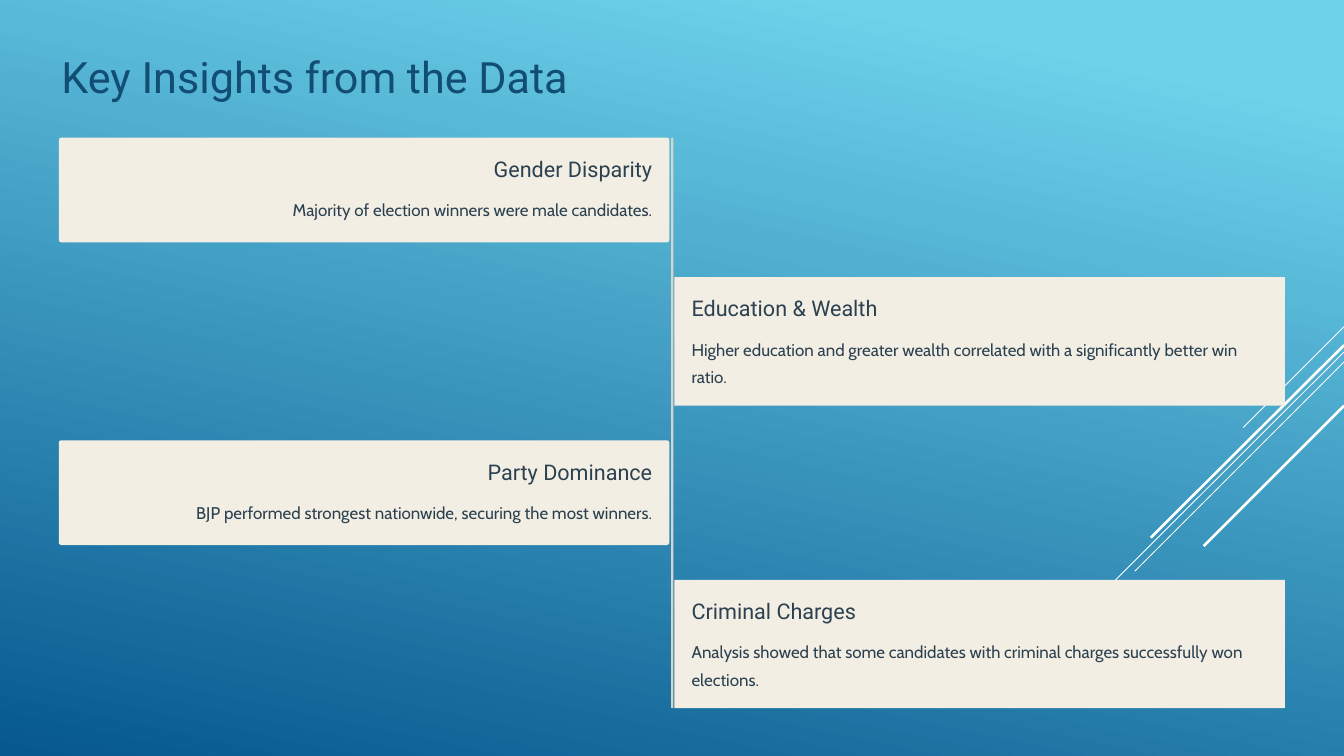
from lxml.etree import SubElement
from pptx import Presentation
from pptx.dml.color import RGBColor
from pptx.enum.shapes import MSO_CONNECTOR as Connector, MSO_SHAPE as Shape
from pptx.enum.text import PP_ALIGN as Align
from pptx.oxml.ns import qn
from pptx.util import Pt

SKY = RGBColor(0x6E, 0xD2, 0xEB)
DEEP_BLUE = RGBColor(0x06, 0x58, 0x8E)
TITLE_BLUE = RGBColor(0x12, 0x4E, 0x73)
INK = RGBColor(0x2B, 0x41, 0x50)
CREAM = RGBColor(0xF3, 0xEE, 0xE3)
STONE = RGBColor(0xD9, 0xD4, 0xC9)
WHITE = RGBColor(0xFF, 0xFF, 0xFF)

deck = Presentation()
deck.slide_width, deck.slide_height = Pt(1152), Pt(648)
page = deck.slides.add_slide(deck.slide_layouts[6])


def add_text(text, left, top, width, height, *, size, font, color, spacing, align=Align.LEFT):
    box = page.shapes.add_textbox(Pt(left), Pt(top), Pt(width), Pt(height))
    frame = box.text_frame
    frame.word_wrap = True
    frame.margin_left = frame.margin_right = frame.margin_top = frame.margin_bottom = 0
    para = frame.paragraphs[0]
    para.alignment = align
    para.line_spacing = Pt(spacing)
    span = para.add_run()
    span.text = text
    span.font.size = Pt(size)
    span.font.name = font
    span.font.color.rgb = color


def add_panel(kind, left, top, width, height, color, rounding):
    panel = page.shapes.add_shape(kind, Pt(left), Pt(top), Pt(width), Pt(height))
    panel.shadow.inherit = False
    panel.fill.solid()
    panel.fill.fore_color.rgb = color
    panel.line.fill.background()
    if kind == Shape.ROUNDED_RECTANGLE:
        panel.adjustments[0] = rounding


# Background
backdrop = page.background.fill
backdrop.gradient()
backdrop.gradient_angle = 258
for stop, position, color in zip(backdrop.gradient_stops, (0.1, 1), (SKY, DEEP_BLUE)):
    stop.position = position
    stop.color.rgb = color

# Diagonal strokes running in from the right edge: start y, end x, end y, weight
STROKES = [
    (280.1, 1065.6, 366.5, 0.75),
    (301.7, 869.8, 583.2, 0.75),
    (310.3, 972.7, 489.6, 0.75),
    (295.9, 986.4, 460.8, 2.25),
    (347.8, 1031.8, 468, 2.25),
]
for start_y, end_x, end_y, weight in STROKES:
    stroke = page.shapes.add_connector(
        Connector.STRAIGHT, Pt(1152), Pt(start_y), Pt(end_x), Pt(end_y))
    stroke.line.color.rgb = WHITE
    stroke.line.width = Pt(weight)
    SubElement(stroke._element.spPr, qn("a:effectLst"))

add_text("Key Insights from the Data", 52.6, 41, 498, 47,
         size=37, font="Roboto", color=TITLE_BLUE, spacing=46.5)

# Timeline with cards alternating left and right
CARD_WIDTH, CARD_GAP, PADDING = 523.4, 29.8, 14.8
FIRST_TOP = 118
INSIGHTS = [
    ("Gender Disparity", "Majority of election winners were male candidates.", 1),
    ("Education & Wealth",
     "Higher education and greater wealth correlated with a significantly better win ratio.", 2),
    ("Party Dominance", "BJP performed strongest nationwide, securing the most winners.", 1),
    ("Criminal Charges",
     "Analysis showed that some candidates with criminal charges successfully won elections.", 2),
]
SIDES = [
    (50.4, Shape.ROUNDED_RECTANGLE, Align.RIGHT),
    (578, Shape.RECTANGLE, Align.LEFT),
]

add_panel(Shape.ROUNDED_RECTANGLE, 575.2, FIRST_TOP, 2, 489, STONE, 0.5)

top = FIRST_TOP
text_width = CARD_WIDTH - 2 * PADDING
for index, (heading, detail, lines) in enumerate(INSIGHTS):
    left, kind, align = SIDES[index % 2]
    height = 69.6 + 20.2 * lines
    add_panel(kind, left, top, CARD_WIDTH, height, CREAM, 0.025)
    add_text(heading, left + PADDING, top + PADDING, text_width, 23,
             size=18.5, font="Roboto", color=INK, spacing=23, align=align)
    add_text(detail, left + PADDING, top + 47, text_width, 23.5 * lines,
             size=14.5, font="Cabin", color=INK, spacing=23.5, align=align)
    top += height + CARD_GAP

deck.save("out.pptx")
